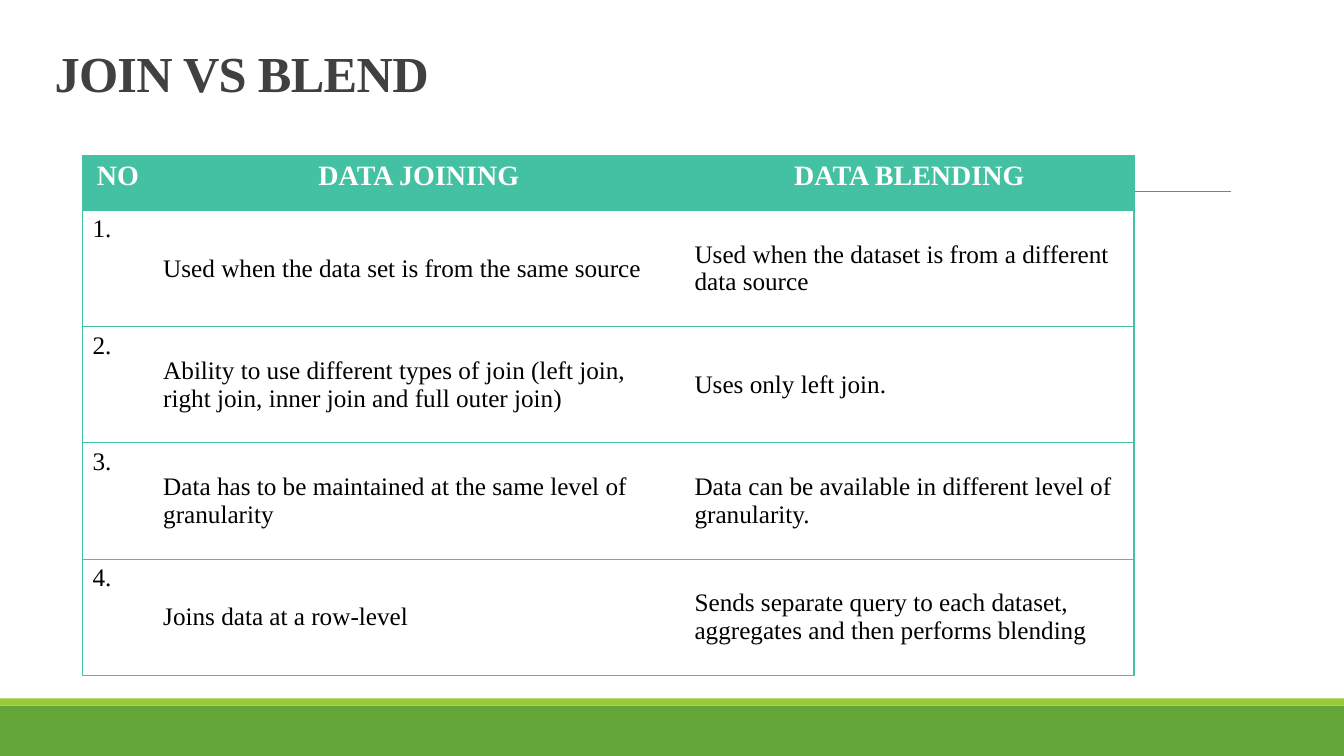
from lxml.etree import SubElement
from pptx import Presentation
from pptx.dml.color import RGBColor
from pptx.enum.shapes import MSO_CONNECTOR as Connector, MSO_SHAPE as Shape
from pptx.enum.text import MSO_ANCHOR as Anchor, MSO_AUTO_SIZE as AutoSize, PP_ALIGN as Align
from pptx.oxml.ns import qn
from pptx.util import Cm, Pt

COLOURS = {
    "teal": "44C1A3",
    "green": "63A537",
    "lime": "99CB38",
    "rule": "808080",
    "title": "404040",
    "white": "FFFFFF",
    "black": "000000",
}
FONT = "Times New Roman"
HEADINGS = ("NO", "DATA JOINING", "DATA BLENDING")
COMPARISONS = (
    ("Used when the data set is from the same source",
     "Used when the dataset is from a different data source"),
    ("Ability to use different types of join (left join, right join, inner join and full outer join)",
     "Uses only left join."),
    ("Data has to be maintained at the same level of granularity",
     "Data can be available in different level of granularity."),
    ("Joins data at a row-level",
     "Sends separate query to each dataset, aggregates and then performs blending"),
)
COLUMN_WIDTHS = (1.78, 13.39, 11.33)
HEADER_HEIGHT = 1.39
ROW_HEIGHT = 2.93


def colour(name):
    """Return the named colour."""
    return RGBColor.from_string(COLOURS[name])


def write(frame, text, size=18, ink="black", bold=False, align=Align.LEFT, spacing=None, tracking=None):
    """Put one formatted paragraph into a text frame."""
    para = frame.paragraphs[0]
    para.alignment = align
    if spacing:
        para.line_spacing = spacing
    span = para.add_run()
    span.text = text
    span.font.name = FONT
    span.font.size = Pt(size)
    span.font.bold = bold
    span.font.color.rgb = colour(ink)
    if tracking:
        span.font._element.set("spc", str(tracking))


def add_band(page, top, height, fill):
    """Draw a plain band across the full width of the page."""
    band = page.shapes.add_shape(Shape.RECTANGLE, 0, Cm(top), Cm(33.87), Cm(height))
    band.shadow.inherit = False
    band.fill.solid()
    band.fill.fore_color.rgb = colour(fill)
    band.line.fill.background()


def add_rule(page, left, right, top):
    """Draw a thin horizontal line."""
    rule = page.shapes.add_connector(Connector.STRAIGHT, Cm(left), Cm(top), Cm(right), Cm(top))
    rule.line.color.rgb = colour("rule")
    rule.line.width = Pt(0.5)
    SubElement(rule._element.spPr, qn("a:effectLst"))


def add_title(page, text):
    """Place and fill the title placeholder."""
    title = page.shapes.title
    title.left, title.top, title.width, title.height = Cm(1.12), Cm(1.04), Cm(27.43), Cm(1.68)
    frame = title.text_frame
    frame.auto_size = AutoSize.NONE
    frame.vertical_anchor = Anchor.BOTTOM
    write(frame, text, size=36, ink="title", bold=True, spacing=0.85, tracking=-50)


def set_borders(cell, visible):
    """Draw the visible sides of a cell and clear the others."""
    properties = cell._tc.get_or_add_tcPr()
    for side in "LRTB":
        line = SubElement(properties, qn("a:ln" + side), w=str(Pt(1)))
        if side in visible:
            fill = SubElement(line, qn("a:solidFill"))
            SubElement(fill, qn("a:srgbClr"), val=COLOURS["teal"])
        else:
            SubElement(line, qn("a:noFill"))


def fill_cell(cell, text, fill, sides, anchor=Anchor.TOP, **text_format):
    """Format one table cell and write its text."""
    set_borders(cell, sides)
    cell.fill.solid()
    cell.fill.fore_color.rgb = colour(fill)
    cell.vertical_anchor = anchor
    write(cell.text_frame, text, **text_format)


def add_comparison(page):
    """Build the comparison table."""
    rows = [HEADINGS] + [(f"{number}.", *pair) for number, pair in enumerate(COMPARISONS, 1)]
    heights = [HEADER_HEIGHT] + [ROW_HEIGHT] * len(COMPARISONS)
    table = page.shapes.add_table(
        len(rows), len(HEADINGS), Cm(2.08), Cm(3.91), Cm(sum(COLUMN_WIDTHS)), Cm(sum(heights))
    ).table
    table.first_row = table.horz_banding = False
    for column, width in zip(table.columns, COLUMN_WIDTHS):
        column.width = Cm(width)
    for row_index, (texts, height) in enumerate(zip(rows, heights)):
        table.rows[row_index].height = Cm(height)
        for column_index, text in enumerate(texts):
            cell = table.cell(row_index, column_index)
            sides = "TB" + {0: "L", len(HEADINGS) - 1: "R"}.get(column_index, "")
            if row_index == 0:
                fill_cell(cell, text, "teal", sides, size=20, ink="white", bold=True, align=Align.CENTER)
            else:
                anchor = Anchor.MIDDLE if column_index else Anchor.TOP
                fill_cell(cell, text, "white", sides, anchor)


def main():
    """Build and save the deck."""
    deck = Presentation()
    deck.slide_width, deck.slide_height = Cm(33.87), Cm(19.05)
    page = deck.slides.add_slide(deck.slide_layouts[5])
    add_band(page, 17.78, 1.27, "green")
    add_band(page, 17.6, 0.18, "lime")
    add_rule(page, 3.33, 31.01, 4.83)
    add_title(page, "JOIN VS BLEND")
    add_comparison(page)
    deck.save("out.pptx")


if __name__ == "__main__":
    main()
